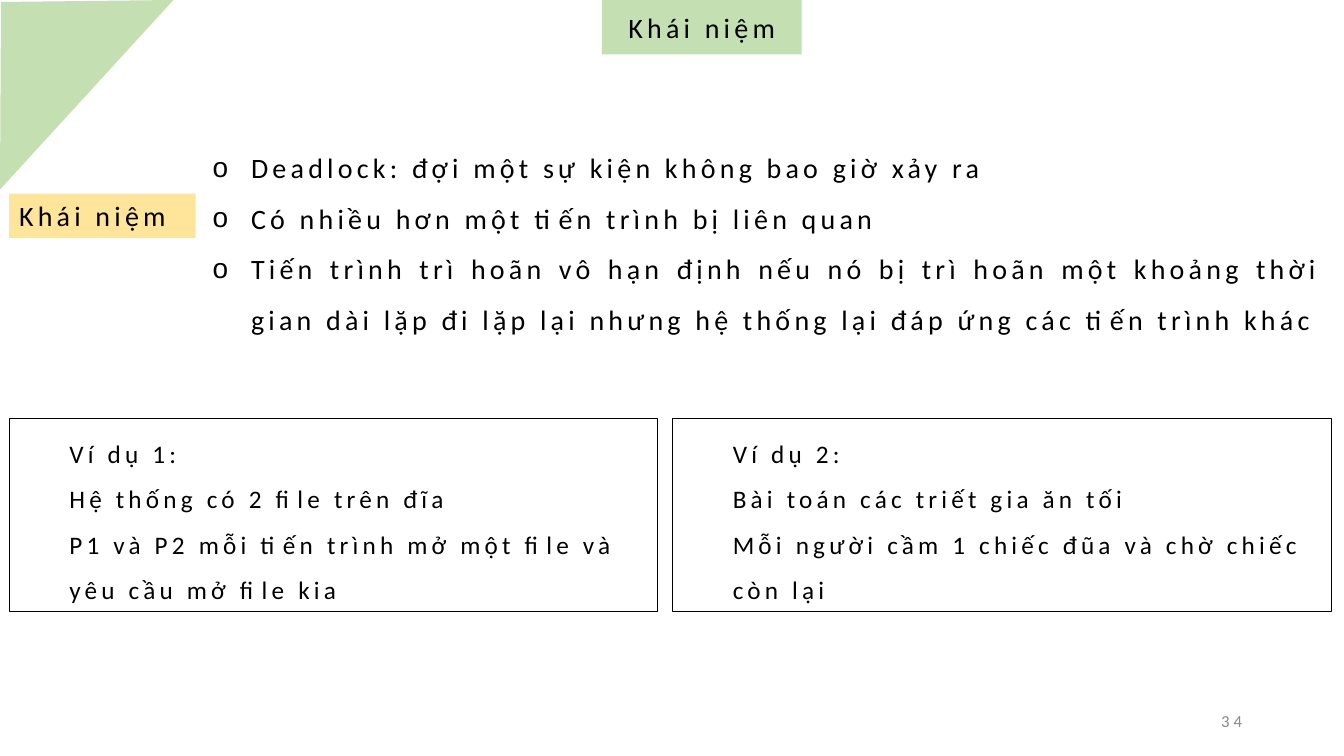
from lxml.etree import SubElement
from pptx import Presentation
from pptx.dml.color import RGBColor
from pptx.enum.shapes import MSO_SHAPE
from pptx.enum.text import MSO_ANCHOR, MSO_AUTO_SIZE, PP_ALIGN
from pptx.oxml.ns import qn
from pptx.util import Inches, Pt

GREEN, YELLOW, BLACK, GRAY = "C4E0B2", "FEE599", "000000", "888888"
CONCEPTS = [
    "Deadlock: đợi một sự kiện không bao giờ xảy ra",
    "Có nhiều hơn một tiến trình bị liên quan",
    "Tiến trình trì hoãn vô hạn định nếu nó bị trì hoãn một khoảng thời gian dài "
    "lặp đi lặp lại nhưng hệ thống lại đáp ứng các tiến trình khác",
]
EXAMPLES = [
    ((0.09, 4.15, 6.43, 1.92),
     ["Ví dụ 1:", "Hệ thống có 2 file trên đĩa",
      "P1 và P2 mỗi tiến trình mở một file và yêu cầu mở file kia"]),
    ((6.67, 4.15, 6.54, 1.92),
     ["Ví dụ 2:", "Bài toán các triết gia ăn tối",
      "Mỗi người cầm 1 chiếc đũa và chờ chiếc còn lại"]),
]


def rgb(color):
    return RGBColor.from_string(color)


def place(shape, box):
    shape.left, shape.top, shape.width, shape.height = map(Inches, box)


def paint(shape, color):
    shape.fill.solid()
    shape.fill.fore_color.rgb = rgb(color)


def write(shape, lines, size, align=PP_ALIGN.LEFT, anchor=MSO_ANCHOR.TOP,
          color=BLACK, spacing=1.0, margin=0, indent=0, bullet=None):
    """Fill a shape with letter-spaced paragraphs."""
    frame = shape.text_frame
    frame.text = "\n".join(lines)
    frame.word_wrap = True
    frame.auto_size = MSO_AUTO_SIZE.NONE
    frame.vertical_anchor = anchor
    for paragraph in frame.paragraphs:
        properties = paragraph._p.get_or_add_pPr()
        properties.set("marL", str(Inches(margin)))
        properties.set("indent", str(Inches(indent)))
        if bullet:
            bullet_color = SubElement(properties, qn("a:buClr"))
            SubElement(bullet_color, qn("a:srgbClr")).set("val", color)
            SubElement(properties, qn("a:buChar")).set("char", bullet)
        paragraph.alignment = align
        paragraph.line_spacing = spacing
        paragraph.space_before = Pt(0)
        for run in paragraph.runs:
            run.font.name = "Calibri"
            run.font.size = Pt(size)
            run.font.color.rgb = rgb(color)
            run._r.get_or_add_rPr().set("spc", "300")


def add_box(slide, box):
    rectangle = slide.shapes.add_shape(MSO_SHAPE.RECTANGLE, *map(Inches, box))
    rectangle.shadow.inherit = False
    return rectangle


def add_corner(slide, box):
    left, top, width, height = box
    builder = slide.shapes.build_freeform(
        Inches(left + 0.01), Inches(top + 0.02))
    builder.add_line_segments(
        [(Inches(left), Inches(top + height)), (Inches(left + width), Inches(top))],
        close=True)
    corner = builder.convert_to_shape()
    corner.shadow.inherit = False
    paint(corner, GREEN)
    corner.line.fill.background()


def add_heading(slide, box):
    heading = slide.shapes.title
    place(heading, box)
    paint(heading, GREEN)
    write(heading, ["Khái niệm"], 20, PP_ALIGN.CENTER, MSO_ANCHOR.MIDDLE)


def add_concepts(slide, box):
    left, top, width, height = box
    # Label on the left
    label = add_box(slide, (left, top + 0.64, 1.85, 0.44))
    paint(label, YELLOW)
    label.line.fill.background()
    write(label, ["Khái niệm"], 20)
    # Bulleted statements on the right
    statements = slide.placeholders[1]
    place(statements, (left + 1.92, top, width - 1.92, height))
    write(statements, CONCEPTS, 20, PP_ALIGN.JUSTIFY, spacing=1.5,
          margin=0.38, indent=-0.38, bullet="o")


def add_example(slide, box, lines):
    example = add_box(slide, box)
    example.fill.background()
    example.line.color.rgb = rgb(BLACK)
    example.line.width = Pt(0.75)
    write(example, lines, 18, spacing=1.5, margin=0.5)


def add_page_number(slide, box):
    number = slide.shapes.add_textbox(*map(Inches, box))
    write(number, ["34"], 12, PP_ALIGN.RIGHT, MSO_ANCHOR.MIDDLE, GRAY)


def main():
    deck = Presentation()
    deck.slide_width, deck.slide_height = Inches(13.33), Inches(7.5)
    slide = deck.slides.add_slide(deck.slide_layouts[1])
    add_corner(slide, (0, 0, 1.72, 1.88))
    add_heading(slide, (5.97, 0, 1.98, 0.54))
    add_concepts(slide, (0.09, 1.28, 13.11, 2.12))
    for box, lines in EXAMPLES:
        add_example(slide, box, lines)
    add_page_number(slide, (9.42, 6.95, 3, 0.4))
    deck.save("out.pptx")


if __name__ == "__main__":
    main()
